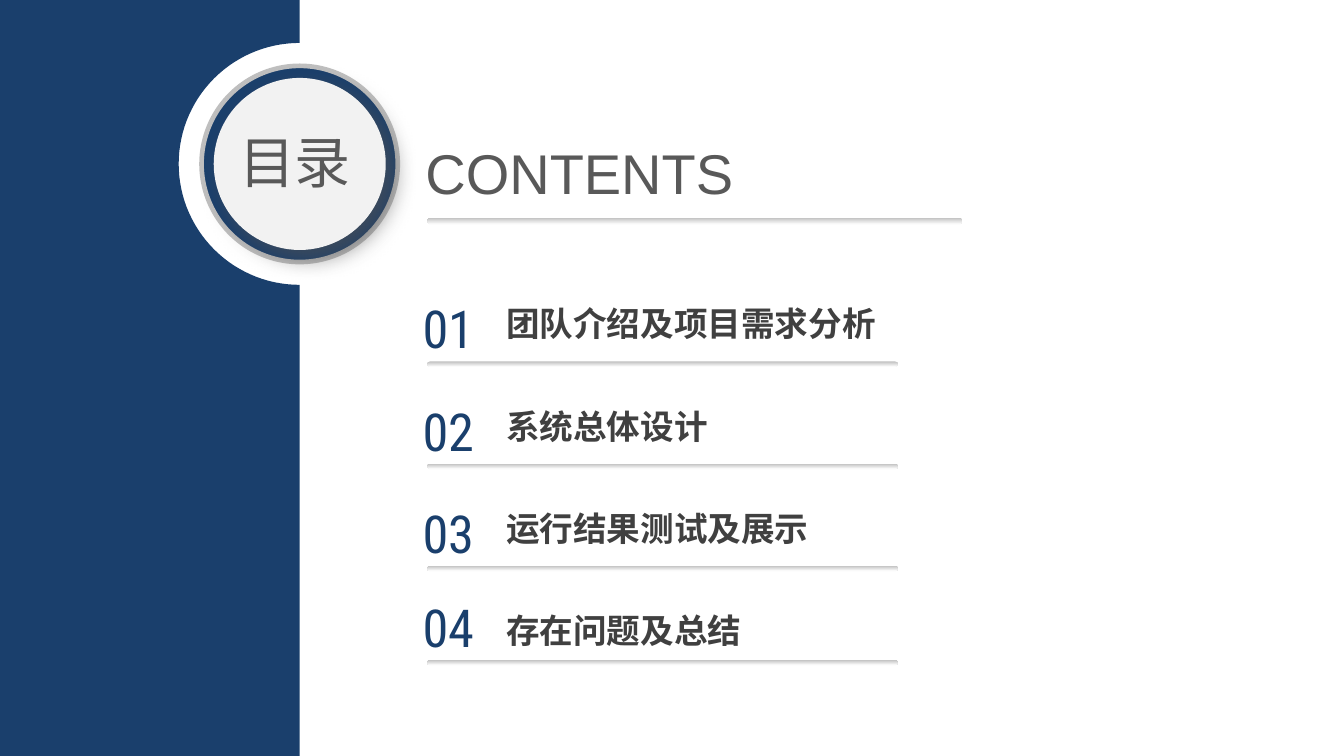
import math
from lxml import etree
from pptx import Presentation, util as u
from pptx.dml.color import RGBColor
from pptx.enum import lang, shapes, text
from pptx.oxml import ns

NAVY, GREY, WHITE = "1A3F6C", "BFBFBF", "FFFFFF"


def colour(target, value):
    """Colour a fill (made solid) or anything that has an rgb value."""
    if hasattr(target, "solid"):
        target.solid()
        target = target.fore_color
    target.rgb = RGBColor.from_string(value)


def write(box, words, size, font, ink, align=text.PP_ALIGN.LEFT, bold=False):
    frame = box.text_frame
    frame.text = words
    frame.word_wrap = True
    frame.auto_size = text.MSO_AUTO_SIZE.SHAPE_TO_FIT_TEXT
    frame.vertical_anchor = text.MSO_ANCHOR.TOP
    frame.margin_left = frame.margin_right = u.Pt(5.4)
    frame.margin_top = frame.margin_bottom = u.Pt(2.7)
    para = frame.paragraphs[0]
    para.alignment = align
    span = para.runs[0].font
    span.size, span.name, span.bold = u.Pt(size), font, bold
    span.language_id = lang.MSO_LANGUAGE_ID.SIMPLIFIED_CHINESE
    colour(span.color, ink)


deck = Presentation()
deck.slide_width, deck.slide_height = u.Pt(720), u.Pt(405)
page = deck.slides.add_slide(deck.slide_layouts[5])
colour(page.background.fill, WHITE)

# Side panel with a half-round bite
edge, middle, bite = 2.23, 1.22, 0.9
bleed, floor = u.Inches(-0.1), deck.slide_height
outline = [(u.Inches(edge), 0)]
for degree in range(90, 271, 3):
    angle = math.radians(degree)
    outline.append((u.Inches(edge + bite * math.cos(angle)),
                    u.Inches(middle - bite * math.sin(angle))))
outline += [(u.Inches(edge), floor), (bleed, floor)]
builder = page.shapes.build_freeform(bleed, 0)
builder.add_line_segments(outline, close=True)
panel = builder.convert_to_shape()
panel.shadow.inherit = False
colour(panel.fill, NAVY)
panel.line.fill.background()

# Badge: navy ring and light disc on one centre
for diameter, fill in [(1.46, NAVY), (1.28, "F2F2F2")]:
    disc = page.shapes.add_shape(
        shapes.MSO_SHAPE.OVAL, u.Inches(edge - diameter / 2), u.Inches(middle - diameter / 2),
        u.Inches(diameter), u.Inches(diameter))
    disc.shadow.inherit = False
    colour(disc.fill, fill)
    if fill == NAVY:
        colour(disc.line.fill, GREY)
        disc.line.width = u.Pt(2.5)
    else:
        disc.line.fill.background()

# Soft shadow under the light disc
effects = disc._element.spPr.find(ns.qn("a:effectLst"))
shade = etree.SubElement(effects, ns.qn("a:outerShdw"), blurRad=str(u.Pt(12)),
                         dist=str(u.Pt(6)), dir="2700000", algn="tl", rotWithShape="0")
tint = etree.SubElement(shade, ns.qn("a:srgbClr"), val="525252")
etree.SubElement(tint, ns.qn("a:alpha"), val="64000")

badge = page.shapes.add_textbox(u.Inches(1.5), u.Inches(0.91), u.Inches(1.39), u.Inches(0.58))
write(badge, "目录", 30, "League Spartan", "595959", text.PP_ALIGN.CENTER)

# Heading
title = page.shapes.title
title.left, title.top = u.Inches(3.09), u.Inches(0.99)
title.width, title.height = u.Inches(3.48), u.Inches(0.58)
write(title, "CONTENTS", 30, "Arial", "595959")

# Contents entries; the last number and rule sit a little higher
entries = ["团队介绍及项目需求分析", "系统总体设计", "运行结果测试及展示", "存在问题及总结"]
first, pitch = 2.17, 0.76
rules = [(1.62, 3.98, 0.05)]
for row, entry in enumerate(entries):
    line_top = first + row * pitch
    number_top = line_top - (0.06 if row == len(entries) - 1 else 0)
    number = page.shapes.add_textbox(
        u.Inches(3.04), u.Inches(number_top), u.Inches(0.59), u.Inches(0.55))
    write(number, f"{row + 1:02}", 28, "Roboto Condensed", NAVY, text.PP_ALIGN.CENTER)
    label = page.shapes.add_textbox(
        u.Inches(3.69), u.Inches(line_top + 0.05), u.Inches(3.31), u.Inches(0.38))
    write(label, entry, 18, "Quicksand", "404040", bold=True)
    rules.append((number_top + 0.52, 3.5, 0.04))

# Fading rules under the heading and the entries
for top, width, height in rules:
    rule = page.shapes.add_shape(
        shapes.MSO_SHAPE.ROUNDED_RECTANGLE, u.Inches(3.18), u.Inches(top),
        u.Inches(width), u.Inches(height))
    rule.adjustments[0] = 0.5
    rule.shadow.inherit = False
    rule.line.fill.background()
    rule.fill.gradient()
    rule.fill.gradient_angle = 270
    for position, (stop, fade) in enumerate(zip(rule.fill.gradient_stops, [GREY, WHITE])):
        colour(stop.color, fade)
        stop.position = position

deck.save("out.pptx")
